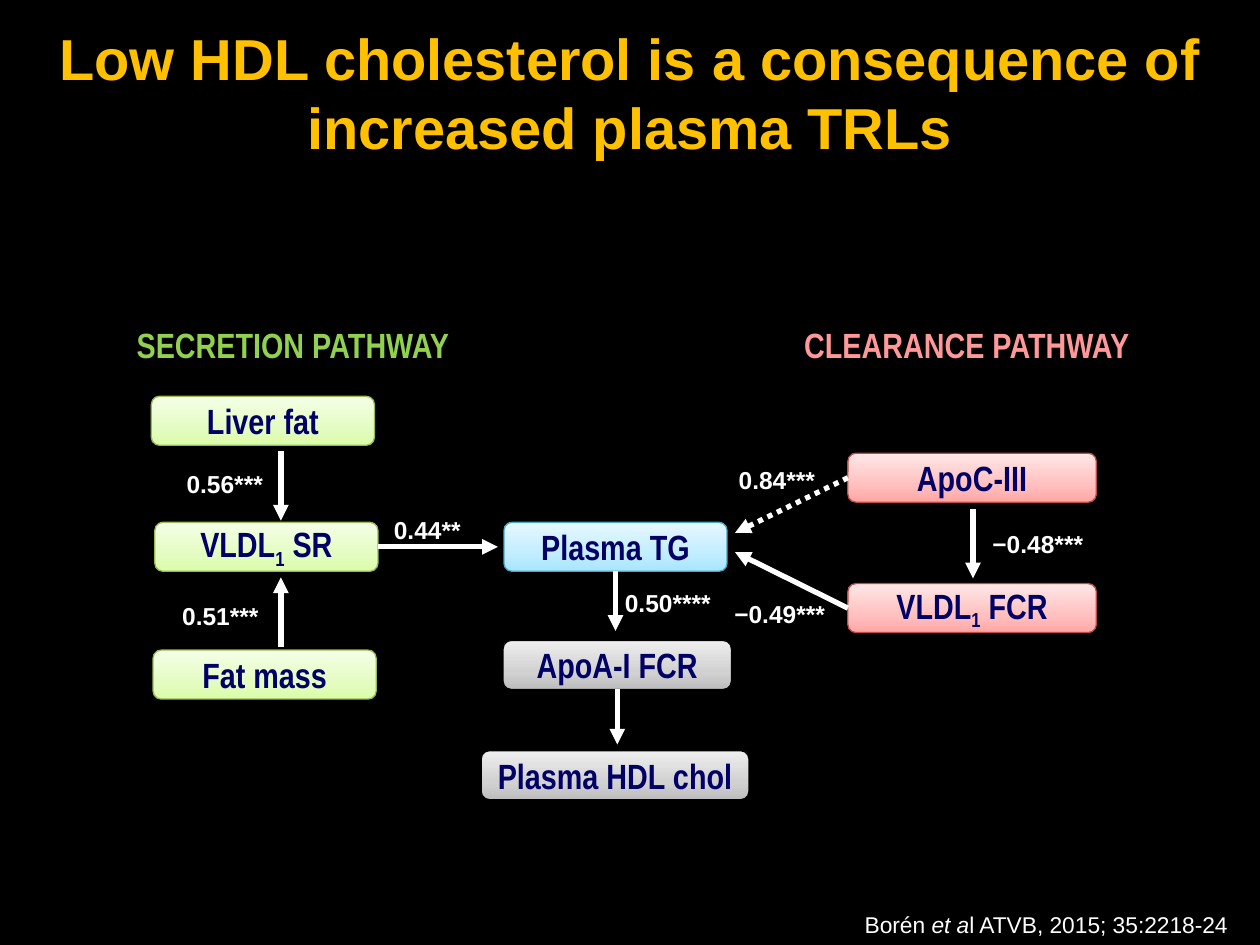
from copy import deepcopy
from typing import NamedTuple, Optional

from lxml.etree import SubElement
from pptx import Presentation
from pptx.dml.color import RGBColor
from pptx.enum.dml import MSO_LINE
from pptx.enum.shapes import MSO_CONNECTOR, MSO_SHAPE
from pptx.enum.text import MSO_ANCHOR, MSO_AUTO_SIZE, PP_ALIGN
from pptx.oxml.ns import qn
from pptx.util import Pt

WHITE, NAVY, GOLD = "FFFFFF", "000066", "FFC000"
BOX_HEIGHT = 28
BOTTOM, LEFT, RIGHT = 2, 1, 3


class Palette(NamedTuple):
    stops: tuple[str, str, str]
    outline: str


class Box(NamedTuple):
    text: str
    left: float
    top: float
    width: float
    palette: Palette


class Arrow(NamedTuple):
    """Starts at a side of a named box, or at a free point."""
    end: tuple[float, float]
    start: tuple[float, float] = (0, 0)
    source: Optional[str] = None
    side: int = 0
    dotted: bool = False


class Label(NamedTuple):
    text: str
    left: float
    top: float
    width: float


GREEN = Palette(("DAFDA7", "E4FCC2", "F5FFE7"), "98B955")
PINK = Palette(("FFA6A5", "FFC0BF", "FFE7E7"), "BF4C48")
BLUE = Palette(("A7E6FF", "C1EDFF", "E7F8FF"), "46AAC5")
GREY = Palette(("BDBDBD", "D1D1D1", "EEEEEE"), "000000")

# Text between bars is the accented part of a line
BOXES = [
    Box("Liver fat", 86.5, 226.5, 127.5, GREEN),
    Box("VLDL|1| SR", 88.5, 298.5, 127.5, GREEN),
    Box("Fat mass", 87.5, 371.5, 127.5, GREEN),
    Box("Plasma TG", 288, 298.5, 127.5, BLUE),
    Box("ApoA-I FCR", 287.5, 366, 130.5, GREY),
    Box("Plasma HDL chol", 275, 429, 153, GREY),
    Box("ApoC-III", 484.5, 259, 142, PINK),
    Box("VLDL|1| FCR", 484.5, 333.5, 142, PINK),
]
ARROWS = [
    Arrow((160.5, 297.5), start=(160.5, 258)),
    Arrow((160.5, 330), start=(160.5, 369.5)),
    Arrow((556, 330.5), start=(556, 291)),
    Arrow((284.5, 312.5), source="VLDL|1| SR", side=RIGHT),
    Arrow((351.75, 360.5), source="Plasma TG", side=BOTTOM),
    Arrow((352.75, 425.5), source="ApoA-I FCR", side=BOTTOM),
    Arrow((420, 315.5), source="VLDL|1| FCR", side=LEFT),
    Arrow((420, 304.5), source="ApoC-III", side=LEFT, dotted=True),
]
COEFFICIENTS = [
    Label("0.56***", 99.5, 264.5, 60),
    Label("0.51***", 97, 340, 60),
    Label("0.44**", 218, 291, 55),
    Label("0.50****", 350, 332.5, 66),
    Label("0.84***", 415, 262, 60),
    Label("−0.49***", 412.5, 339, 70),
    Label("−0.48***", 560, 299, 70),
]


def rgb(hex_color: str) -> RGBColor:
    return RGBColor.from_string(hex_color)


def write_text(frame, text: str, *, size: float, color: str, font: str = "Arial",
               bold: bool = True, align=PP_ALIGN.LEFT, subscript: bool = False) -> None:
    """Parts between bars become subscript, or italic by default."""
    paragraph = frame.paragraphs[0]
    paragraph.alignment = align
    for index, part in enumerate(text.split("|")):
        run = paragraph.add_run()
        run.text = part
        run.font.size = Pt(size)
        run.font.name = font
        run.font.bold = bold
        run.font.color.rgb = rgb(color)
        if index % 2 and subscript:
            run.font._element.set("baseline", "-25000")
        elif index % 2:
            run.font.italic = True


def add_label(slide, label: Label, height: float, **text_format) -> None:
    frame = slide.shapes.add_textbox(
        Pt(label.left), Pt(label.top), Pt(label.width), Pt(height)).text_frame
    frame.word_wrap = False
    frame.auto_size = MSO_AUTO_SIZE.SHAPE_TO_FIT_TEXT
    write_text(frame, label.text, **text_format)


def fill_gradient(shape, palette: Palette) -> None:
    shape.fill.gradient()
    shape.fill.gradient_angle = 90
    stop_list = shape._element.spPr.find(qn("a:gradFill")).find(qn("a:gsLst"))
    stop_list.insert(1, deepcopy(stop_list[0]))
    stops = zip(shape.fill.gradient_stops, palette.stops, (0, 0.35, 1))
    for stop, color, position in stops:
        stop.color.rgb = rgb(color)
        stop.position = position


def add_box(slide, box: Box):
    shape = slide.shapes.add_shape(
        MSO_SHAPE.ROUNDED_RECTANGLE,
        Pt(box.left), Pt(box.top), Pt(box.width), Pt(BOX_HEIGHT))
    shape.shadow.inherit = False
    fill_gradient(shape, box.palette)
    shape.line.color.rgb = rgb(box.palette.outline)
    shape.line.width = Pt(0.75)
    shape.text_frame.word_wrap = True
    shape.text_frame.vertical_anchor = MSO_ANCHOR.MIDDLE
    write_text(shape.text_frame, box.text, size=20, color=NAVY, font="Arial Narrow",
               align=PP_ALIGN.CENTER, subscript=True)
    return shape


def add_arrow(slide, arrow: Arrow, boxes: dict) -> None:
    connector = slide.shapes.add_connector(
        MSO_CONNECTOR.STRAIGHT, *map(Pt, arrow.start + arrow.end))
    if arrow.source:
        connector.begin_connect(boxes[arrow.source], arrow.side)
    connector.line.color.rgb = rgb(WHITE)
    connector.line.width = Pt(3)
    if arrow.dotted:
        connector.line.dash_style = MSO_LINE.ROUND_DOT
    properties = connector._element.spPr
    SubElement(properties.find(qn("a:ln")), qn("a:tailEnd"), type="triangle")
    SubElement(properties, qn("a:effectLst"))


def add_title(slide) -> None:
    title = slide.shapes.title
    title.left, title.top, title.width, title.height = map(Pt, (8.5, 9.5, 703, 87))
    title.text_frame.word_wrap = True
    title.text_frame.auto_size = MSO_AUTO_SIZE.SHAPE_TO_FIT_TEXT
    title.text_frame.vertical_anchor = MSO_ANCHOR.TOP
    write_text(title.text_frame,
               "Low HDL cholesterol is a consequence of increased plasma TRLs",
               size=33, color=GOLD, align=PP_ALIGN.CENTER)


def main() -> None:
    presentation = Presentation()
    presentation.slide_width, presentation.slide_height = Pt(720), Pt(540)
    slide = presentation.slides.add_slide(presentation.slide_layouts[5])
    slide.background.fill.solid()
    slide.background.fill.fore_color.rgb = rgb("000000")

    add_title(slide)
    add_label(slide, Label("SECRETION PATHWAY", 71, 181.5, 195), 31.5,
              size=20, color="92D050", font="Arial Narrow")
    add_label(slide, Label("CLEARANCE PATHWAY", 452.5, 181.5, 202.5), 31.5,
              size=20, color="FF9999", font="Arial Narrow")
    boxes = {box.text: add_box(slide, box) for box in BOXES}
    for arrow in ARROWS:
        add_arrow(slide, arrow, boxes)
    for coefficient in COEFFICIENTS:
        add_label(slide, coefficient, 24.5, size=14, color=WHITE)
    add_label(slide, Label("Borén |et a|l ATVB, 2015; 35:2218-24", 484, 517, 224.5), 23,
              size=13, color=WHITE, bold=False, align=PP_ALIGN.RIGHT)
    presentation.save("out.pptx")


if __name__ == "__main__":
    main()
